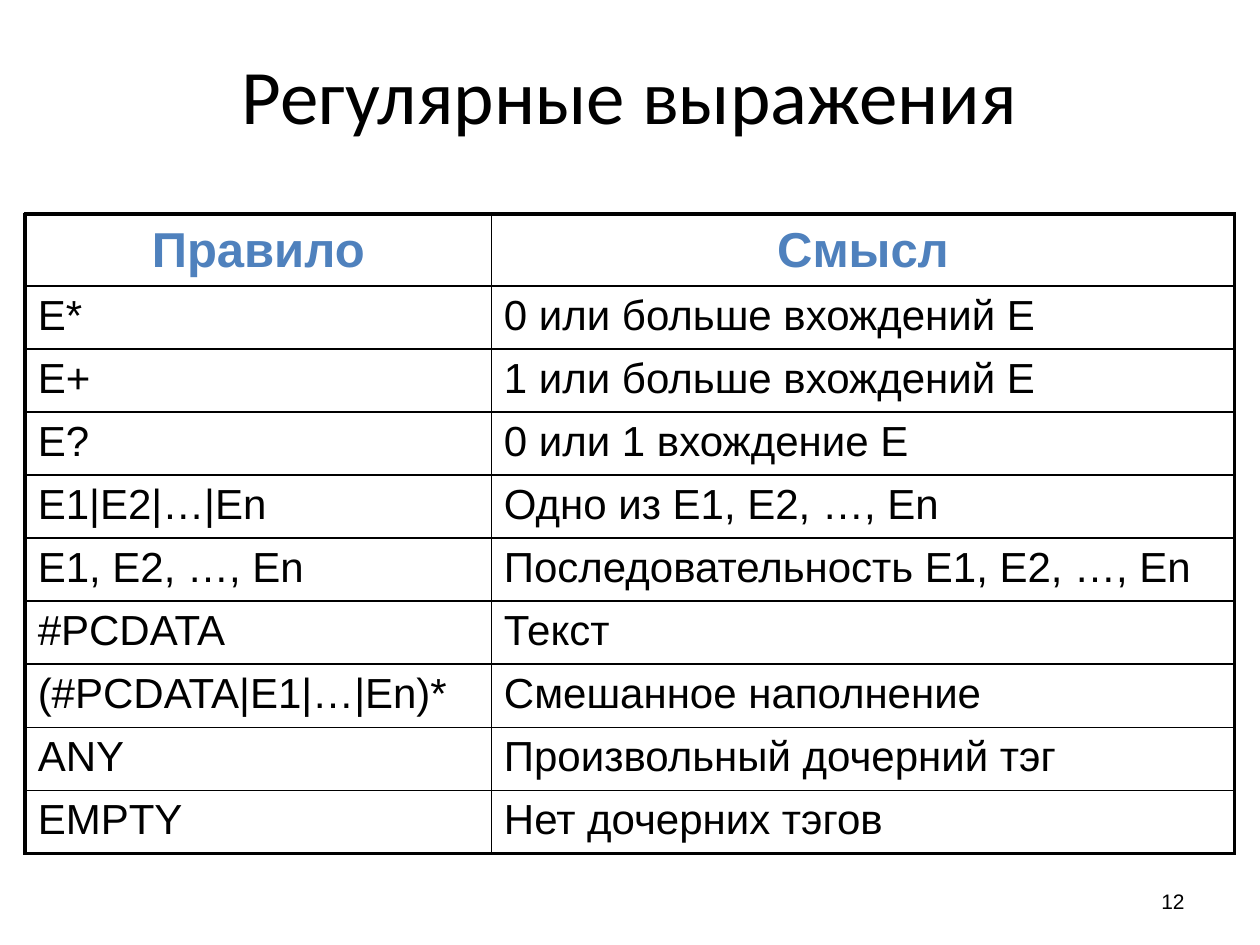
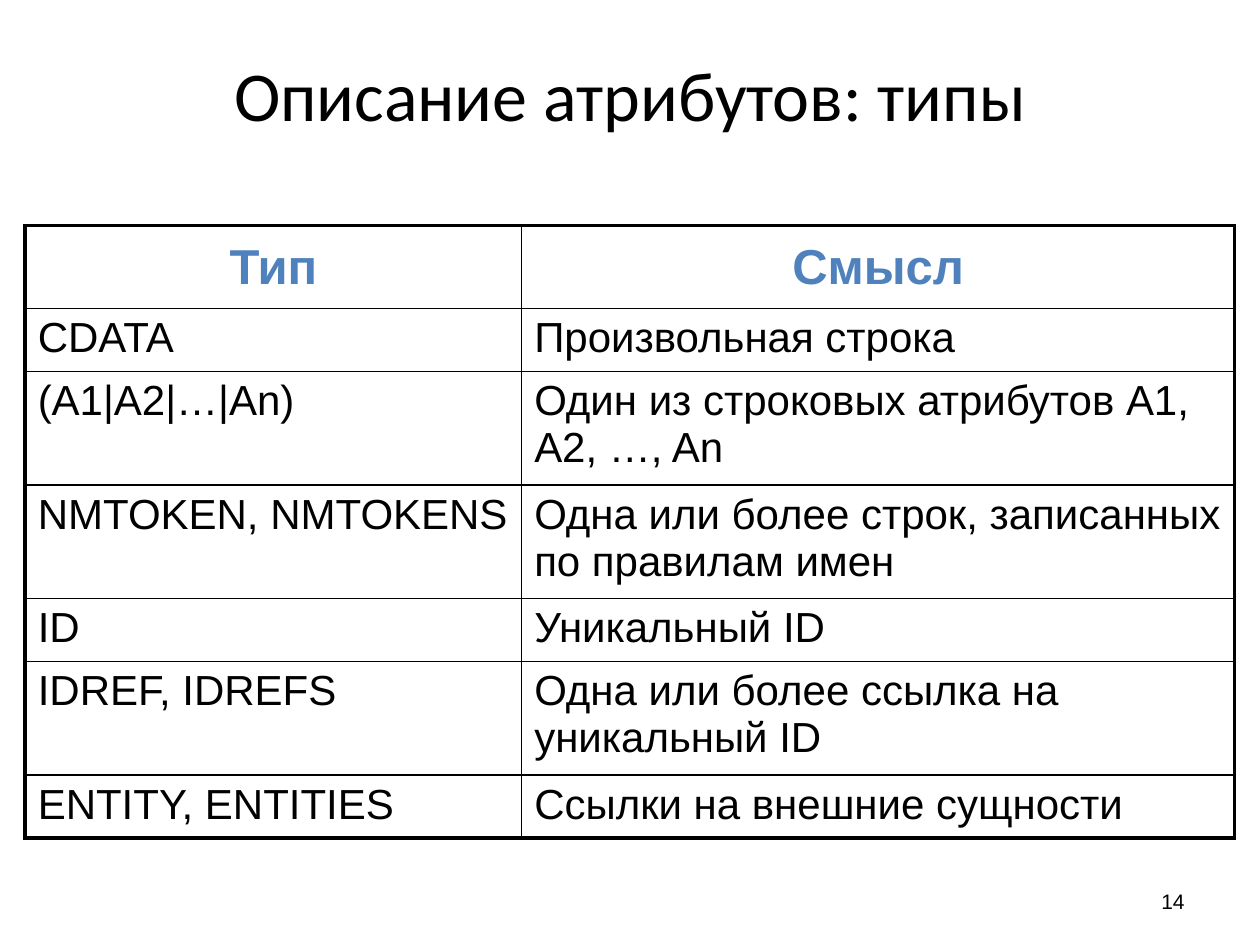
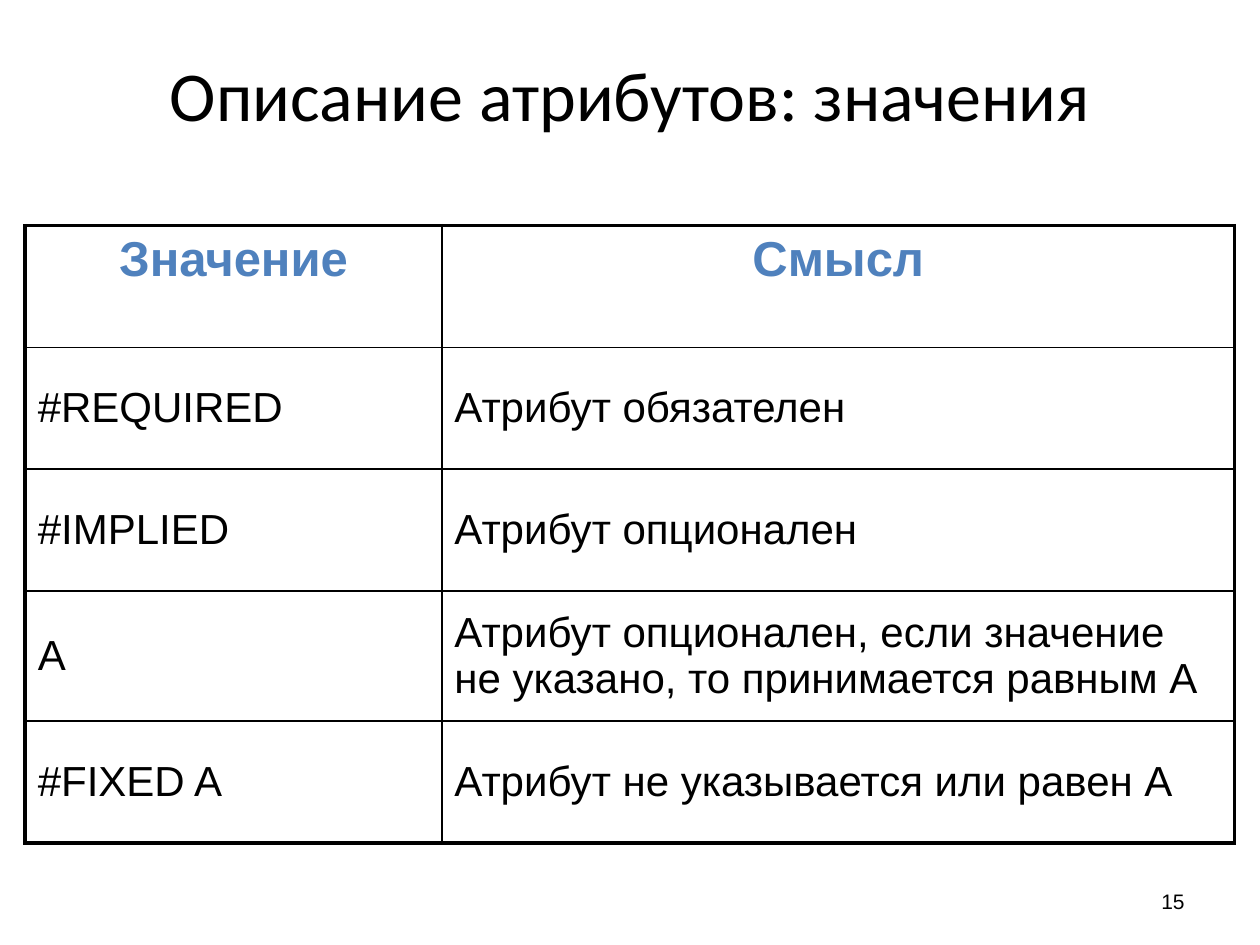
from lxml import etree
from pptx import Presentation
from pptx.dml.color import RGBColor
from pptx.enum import text
from pptx.oxml import ns
from pptx.util import Pt

BLACK, BLUE, WHITE = "000000", "4F81BD", "FFFFFF"
LEFT, WIDTH = 14.4, 691.2
THICK, THIN = 2.25, 1
TOP, MIDDLE = text.MSO_ANCHOR.TOP, text.MSO_ANCHOR.MIDDLE
START, CENTER, END = text.PP_ALIGN.LEFT, text.PP_ALIGN.CENTER, text.PP_ALIGN.RIGHT

HEAD = {"size": Pt(28), "name": "Arial", "bold": True}
BODY = {"size": Pt(24), "name": "Arial", "bold": False}
NUMBER = {"size": Pt(12), "name": "Arial"}

SLIDES = [
    {
        "title": "Регулярные выражения", "title_size": 44, "number": 12,
        "top": 122.4, "first_column": 266.4, "heights": [41] + [36] * 9,
        "anchors": (MIDDLE, TOP),
        "rows": [
            ("Правило", "Смысл"),
            ("E*", "0 или больше вхождений Е"),
            ("E+", "1 или больше вхождений Е"),
            ("E?", "0 или 1 вхождение Е"),
            ("E1|E2|…|En", "Одно из Е1, Е2, …, Еn"),
            ("E1, E2, …, En", "Последовательность E1, E2, …, En"),
            ("#PCDATA", "Текст"),
            ("(#PCDATA|E1|…|En)*", "Смешанное наполнение"),
            ("ANY", "Произвольный дочерний тэг"),
            ("EMPTY", "Нет дочерних тэгов"),
        ],
    },
    {
        "title": "Описание атрибутов: типы", "title_size": 40, "number": 14,
        "top": 128.9, "first_column": 283.7,
        "heights": [47.5, 36, 64.8, 64.8, 36, 64.8, 36],
        "anchors": (MIDDLE, TOP),
        "rows": [
            ("Тип", "Смысл"),
            ("CDATA", "Произвольная строка"),
            ("(A1|A2|…|An)", "Один из строковых атрибутов A1, A2, …, An"),
            ("NMTOKEN, NMTOKENS", "Одна или более строк, записанных по правилам имен"),
            ("ID", "Уникальный ID"),
            ("IDREF, IDREFS", "Одна или более ссылка на уникальный ID"),
            ("ENTITY, ENTITIES", "Ссылки на внешние сущности"),
        ],
    },
    {
        "title": "Описание атрибутов: значения", "title_size": 40, "number": 15,
        "top": 128.9, "first_column": 238.1,
        "heights": [69.6, 69.6, 69.6, 74.4, 69.6],
        "anchors": (TOP, MIDDLE),
        "rows": [
            ("Значение", "Смысл"),
            ("#REQUIRED", "Атрибут обязателен"),
            ("#IMPLIED", "Атрибут опционален"),
            ("A", "Атрибут опционален, если значение не указано, то принимается равным A"),
            ("#FIXED A", "Атрибут не указывается или равен A"),
        ],
    },
]


def color(value):
    """Turn a hex string into a colour."""
    return RGBColor.from_string(value)


def write(para, words, align, style, ink=BLACK):
    """Put one formatted run into a paragraph."""
    para.alignment = align
    span = para.add_run()
    span.text = words
    for key, value in style.items():
        setattr(span.font, key, value)
    span.font.color.rgb = color(ink)


def add_text(page, place, words, align, style):
    """Add a vertically centred text box."""
    box = page.shapes.add_textbox(*map(Pt, place))
    box.text_frame.word_wrap = True
    box.text_frame.vertical_anchor = MIDDLE
    write(box.text_frame.paragraphs[0], words, align, style)


def set_border(cell, side, width):
    """Draw one solid black edge of a cell."""
    props = cell._tc.get_or_add_tcPr()
    line = etree.SubElement(props, ns.qn(f"a:ln{side}"), w=str(Pt(width)))
    fill = etree.SubElement(line, ns.qn("a:solidFill"))
    etree.SubElement(fill, ns.qn("a:srgbClr"), val=BLACK)


def set_space_before(para, percent):
    """Set the space before a paragraph as a share of its line."""
    space = etree.SubElement(para._p.get_or_add_pPr(), ns.qn("a:spcBef"))
    etree.SubElement(space, ns.qn("a:spcPct"), val=str(percent * 1000))


def add_table(page, item):
    """Add a two-column table with a thick frame and thin inner lines."""
    rows, heights = item["rows"], item["heights"]
    place = (LEFT, item["top"], WIDTH, sum(heights))
    table = page.shapes.add_table(len(rows), 2, *map(Pt, place)).table
    table.first_row = table.horz_banding = False
    widths = (item["first_column"], WIDTH - item["first_column"])
    for column, width in zip(table.columns, widths):
        column.width = Pt(width)
    for r, (words, height) in enumerate(zip(rows, heights)):
        table.rows[r].height = Pt(height)
        header = r == 0
        for c, word in enumerate(words):
            cell = table.cell(r, c)
            edges = {"L": c == 0, "R": c == 1, "T": header, "B": r == len(rows) - 1}
            for side, outer in edges.items():
                set_border(cell, side, THICK if outer else THIN)
            cell.fill.background()
            cell.vertical_anchor = item["anchors"][0 if header else 1]
            para = cell.text_frame.paragraphs[0]
            set_space_before(para, 20)
            if header:
                write(para, word, CENTER, HEAD, BLUE)
            else:
                write(para, word, START, BODY)


def build():
    """Build all slides and save the deck."""
    deck = Presentation()
    deck.slide_width, deck.slide_height = Pt(720), Pt(540)
    for item in SLIDES:
        page = deck.slides.add_slide(deck.slide_layouts[6])
        page.background.fill.solid()
        page.background.fill.fore_color.rgb = color(WHITE)
        add_text(page, (516, 500.5, 168, 28.75), str(item["number"]), END, NUMBER)
        title = {"size": Pt(item["title_size"]), "name": "Calibri"}
        add_text(page, (LEFT, 0, WIDTH, 107.25), item["title"], CENTER, title)
        add_table(page, item)
    deck.save("out.pptx")


build()
